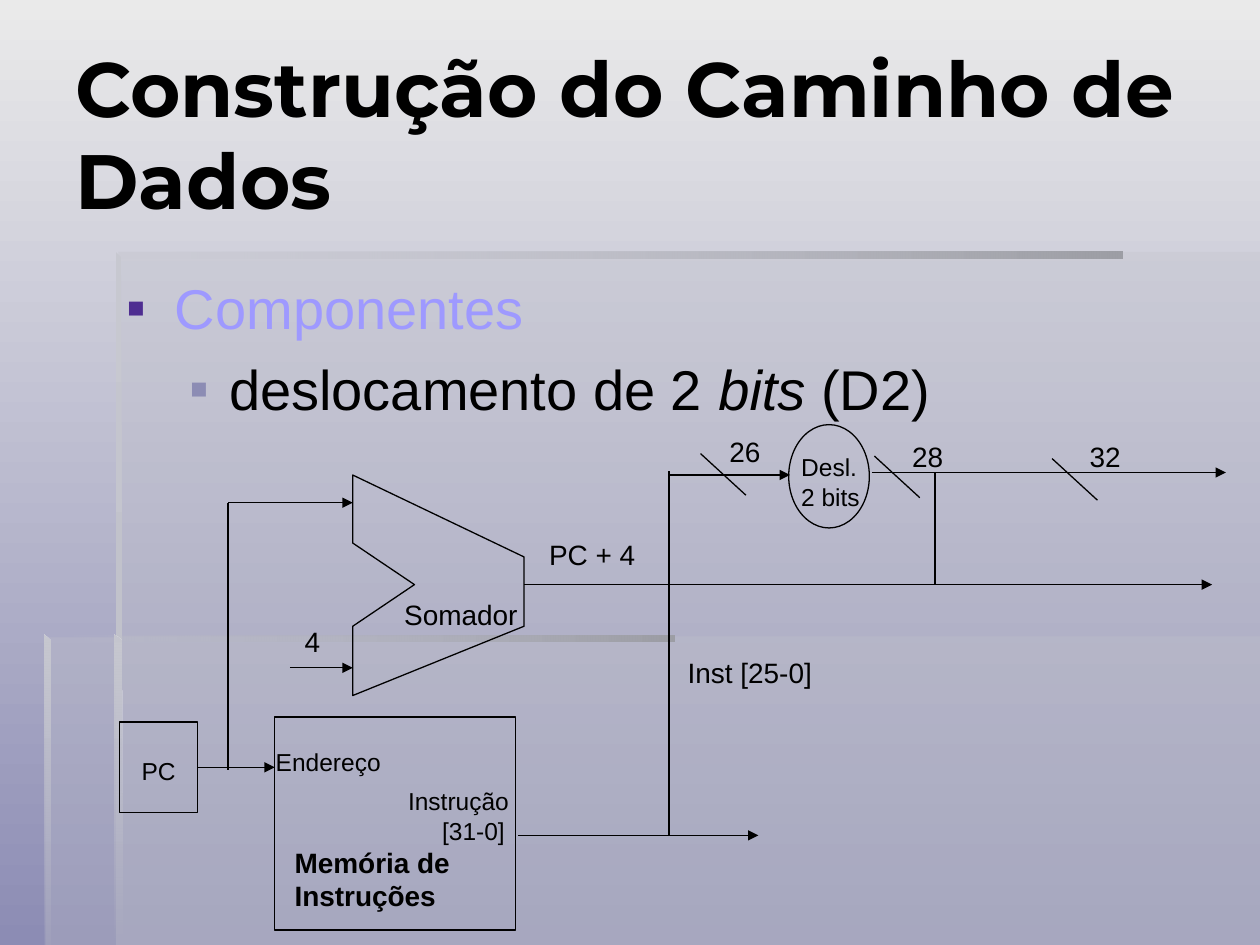
from lxml.etree import SubElement
from pptx import Presentation
from pptx.dml.color import RGBColor
from pptx.enum.shapes import MSO_CONNECTOR, MSO_SHAPE
from pptx.enum.text import MSO_ANCHOR, PP_ALIGN
from pptx.oxml.ns import qn
from pptx.util import Inches, Pt

COLORS = {"ink": "000000", "sky": "EAEAEA", "dusk": "8C8CB4", "panel": "C1C2CB",
          "edge": "C7C8D0", "bar": "9D9EA5", "topic": "9E99FF", "bullet": "4E2D91"}

TITLE = "Construção do Caminho de Dados"
# Bullets: runs as (text, italic), text colour, bullet colour, left margin, hanging
BULLETS = [
    ([("Componentes", False)], "topic", "bullet", 0.38, 0.38),
    ([("deslocamento de 2 ", False), ("bits", True), (" (D2)", False)],
     "ink", "dusk", 0.81, 0.31),
]

# Backdrop panels, 30 % opaque
PANELS = [
    [(0.92, 5.05), (0.92, 7.5), (10, 7.5), (10, 5.05)],
    [(0.94, 5.06), (0.36, 5.06), (0.36, 7.5), (10, 7.5), (10, 2), (0.94, 2)],
]
# Backdrop edges: outline, first colour, opacity of the last colour, clockwise angle
EDGES = [
    ([(0.92, 2), (0.92, 2.05), (8.91, 2.05), (8.91, 2)], "bar", 0, 180),
    ([(0.92, 2), (0.92, 5.1), (0.97, 5.1), (0.96, 2.04)], "edge", 100, 90),
    ([(0.91, 7.5), (0.97, 7.5), (0.96, 5.08), (0.91, 5.04)], "edge", 0, 90),
    ([(0.35, 5.04), (0.35, 5.09), (5.35, 5.09), (5.35, 5.04)], "bar", 0, 180),
    ([(0.35, 5.04), (0.35, 7.5), (0.4, 7.5), (0.4, 5.09)], "edge", 10, 90),
]

# Datapath blocks
ADDER = [(2.8, 3.77), (4.16, 4.42), (4.16, 4.97), (2.8, 5.52),
         (2.8, 4.97), (3.29, 4.64), (2.8, 4.31)]
MEMORY = (2.18, 5.69, 1.91, 1.69)
PC = (0.95, 5.73, 0.62, 0.72)
SHIFTER = (6.26, 3.37, 0.64, 0.82)

# Wires: start, end
PC_TO_MEMORY = ((1.57, 6.09), (2.18, 6.09))
ARROWS = [
    ((2.3, 5.3), (2.8, 5.3)),      # constant 4
    ((1.81, 3.99), (2.8, 3.99)),   # PC to adder
    ((4.16, 4.64), (9.62, 4.64)),  # PC + 4
    ((4.11, 6.63), (6.02, 6.63)),  # instruction
    ((5.31, 3.77), (6.27, 3.77)),  # into the shifter
    ((6.92, 3.75), (9.73, 3.75)),  # out of the shifter
]
BRANCHES = [
    ((1.81, 3.99), (1.81, 6.11)),
    ((5.31, 6.63), (5.31, 3.74)),
    ((7.42, 3.75), (7.42, 4.64)),
]
BUS_MARKS = [(5.56, 3.6), (6.94, 3.62), (8.35, 3.64)]
MARK_WIDTH, MARK_HEIGHT = 0.36, 0.33

# Labels: box, lines as (text, indent), size, bold, alignment
LEFT, CENTER = PP_ALIGN.LEFT, PP_ALIGN.CENTER
LABELS = [
    ((2.09, 5.88, 1.94, 0.34), [("Endereço", 0)], 14, False, LEFT),
    ((2.24, 6.66, 1.89, 0.64), [("Memória de", 0), ("Instruções", 0)], 16, True, LEFT),
    ((3.14, 6.19, 1.54, 0.57), [("Instrução", 0), ("[31-0]", 0.27)], 14, False, LEFT),
    ((0.51, 5.95, 1.5, 0.34), [("PC", 0)], 14, False, CENTER),
    ((2.32, 4.91, 1.34, 0.37), [("4", 0)], 16, False, LEFT),
    ((3.11, 4.69, 1.5, 0.47), [("Somador", 0)], 16, False, LEFT),
    ((4.26, 4.22, 1.24, 0.42), [("PC + 4", 0)], 16, False, LEFT),
    ((6.26, 3.54, 0.71, 0.57), [("Desl.", 0), ("2 bits", 0)], 14, False, LEFT),
    ((5.36, 5.15, 2.08, 0.49), [("Inst [25-0]", 0)], 16, False, LEFT),
    ((5.69, 3.4, 0.72, 0.35), [("26", 0)], 16, False, LEFT),
    ((7.14, 3.44, 0.7, 0.34), [("28", 0)], 16, False, LEFT),
    ((8.55, 3.44, 0.86, 0.41), [("32", 0)], 16, False, LEFT),
]

prs = Presentation()
prs.slide_width, prs.slide_height = Inches(10), Inches(7.5)
slide = prs.slides.add_slide(prs.slide_layouts[6])


def rgb(name):
    return RGBColor.from_string(COLORS[name])


def inches(values):
    return [Inches(value) for value in values]


def set_gradient(fill, names, clockwise):
    fill.gradient()
    fill.gradient_angle = 360 - clockwise
    for stop, name in zip(fill.gradient_stops, names):
        stop.color.rgb = rgb(name)


def set_last_opacity(shape, percent):
    color = list(shape._element.spPr.iter(qn("a:srgbClr")))[-1]
    SubElement(color, qn("a:alpha"), val=str(percent * 1000))


def add_outline(points):
    start, *rest = [inches(point) for point in points]
    builder = slide.shapes.build_freeform(*start)
    builder.add_line_segments(rest, close=True)
    shape = builder.convert_to_shape()
    shape.shadow.inherit = False
    shape.line.fill.background()
    return shape


def draw_block(shape):
    shape.shadow.inherit = False
    shape.fill.background()
    shape.line.color.rgb = rgb("ink")
    shape.line.width = Pt(0.75)
    return shape


def add_wire(start, end, arrow=False):
    wire = slide.shapes.add_connector(MSO_CONNECTOR.STRAIGHT, *inches(start + end))
    wire.line.color.rgb = rgb("ink")
    wire.line.width = Pt(0.75)
    if arrow:
        SubElement(wire.line._get_or_add_ln(), qn("a:tailEnd"), type="triangle")
    SubElement(wire._element.spPr, qn("a:effectLst"))
    return wire


def add_text_frame(box):
    frame = slide.shapes.add_textbox(*inches(box)).text_frame
    frame.word_wrap = True
    return frame


def next_paragraph(frame, index):
    return frame.add_paragraph() if index else frame.paragraphs[0]


def set_font(paragraph, face, size, color, bold=False):
    font = paragraph.font
    font.name, font.size, font.bold = face, Pt(size), bold
    font.color.rgb = rgb(color)


# Backdrop
set_gradient(slide.background.fill, ("sky", "dusk"), 90)
for points in PANELS:
    panel = add_outline(points)
    panel.fill.solid()
    panel.fill.fore_color.rgb = rgb("panel")
    set_last_opacity(panel, 30)
for points, first, opacity, angle in EDGES:
    edge = add_outline(points)
    set_gradient(edge.fill, (first, "panel"), angle)
    set_last_opacity(edge, opacity)

# Title
title = add_text_frame((0.5, 0.27, 9.17, 1.57))
title.vertical_anchor = MSO_ANCHOR.MIDDLE
title.text = TITLE
set_font(title.paragraphs[0], "Montserrat", 44, "ink", bold=True)

# Bullets
body = add_text_frame((0.91, 2.12, 8.73, 1.71))
for index, (runs, color, bullet_color, margin, hanging) in enumerate(BULLETS):
    paragraph = next_paragraph(body, index)
    if index:
        paragraph.space_before = Pt(8)
    props = paragraph._p.get_or_add_pPr()
    props.set("marL", str(Inches(margin)))
    props.set("indent", str(-Inches(hanging)))
    bullet = SubElement(props, qn("a:buClr"))
    SubElement(bullet, qn("a:srgbClr"), val=COLORS[bullet_color])
    SubElement(props, qn("a:buFont"), typeface="Arial")
    SubElement(props, qn("a:buChar"), char="▪")
    set_font(paragraph, "Arial", 32, color)
    for text, italic in runs:
        run = paragraph.add_run()
        run.text, run.font.italic = text, italic

# Datapath blocks
draw_block(add_outline(ADDER))
draw_block(slide.shapes.add_shape(MSO_SHAPE.RECTANGLE, *inches(MEMORY)))
pc = draw_block(slide.shapes.add_shape(MSO_SHAPE.RECTANGLE, *inches(PC)))
draw_block(slide.shapes.add_shape(MSO_SHAPE.OVAL, *inches(SHIFTER)))

# Wires
add_wire(*PC_TO_MEMORY, arrow=True).begin_connect(pc, 3)
for start, end in ARROWS:
    add_wire(start, end, arrow=True)
for start, end in BRANCHES:
    add_wire(start, end)
for x, y in BUS_MARKS:
    add_wire((x, y), (x + MARK_WIDTH, y + MARK_HEIGHT))

# Labels
for box, lines, size, bold, alignment in LABELS:
    frame = add_text_frame(box)
    for index, (text, indent) in enumerate(lines):
        paragraph = next_paragraph(frame, index)
        paragraph.text, paragraph.alignment = text, alignment
        if indent:
            paragraph._p.get_or_add_pPr().set("marL", str(Inches(indent)))
        set_font(paragraph, "Arial", size, "ink", bold)

prs.save("out.pptx")
